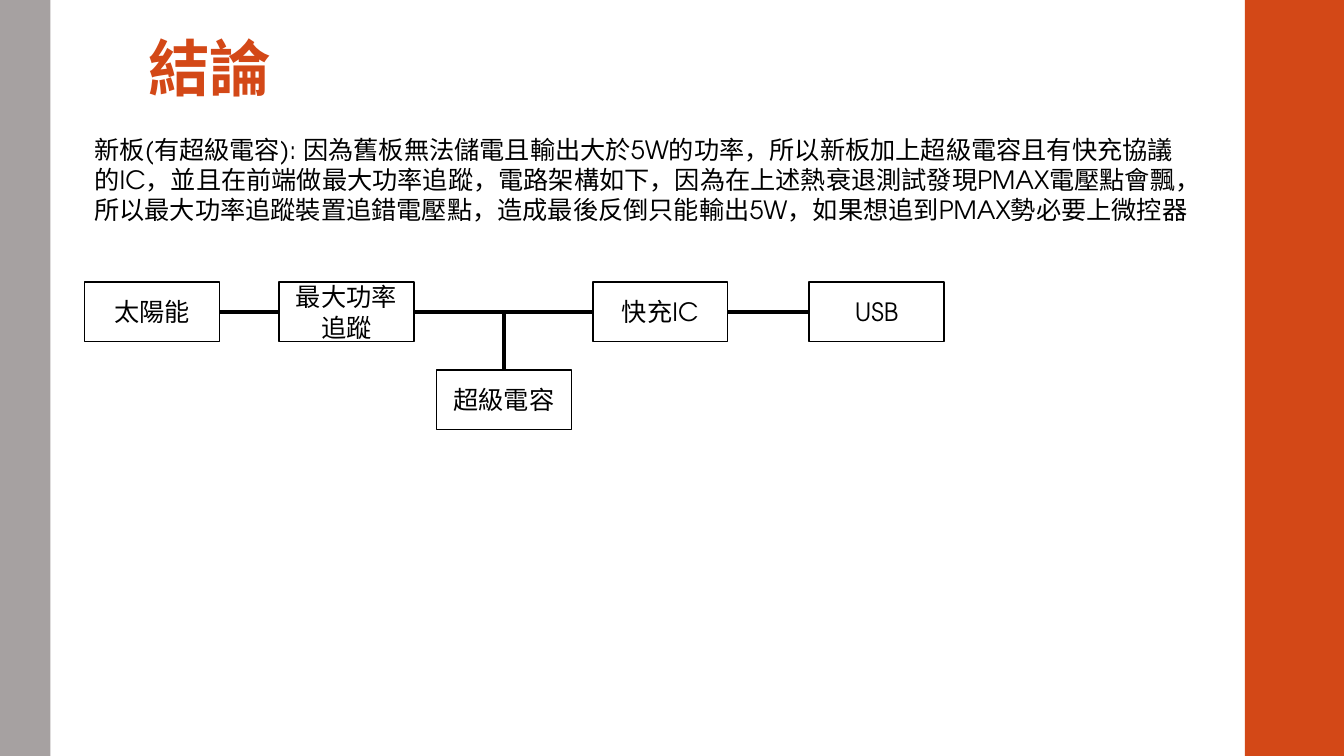
from dataclasses import dataclass

from lxml import etree
from pptx import Presentation
from pptx.dml.color import RGBColor
from pptx.enum.shapes import MSO_CONNECTOR, MSO_SHAPE
from pptx.enum.text import MSO_ANCHOR, MSO_AUTO_SIZE, PP_ALIGN
from pptx.oxml.ns import qn
from pptx.util import Cm, Pt

RECTANGLE = MSO_SHAPE.RECTANGLE
STRAIGHT = MSO_CONNECTOR.STRAIGHT
MIDDLE, BOTTOM = MSO_ANCHOR.MIDDLE, MSO_ANCHOR.BOTTOM
LEFT, CENTER = PP_ALIGN.LEFT, PP_ALIGN.CENTER
NO_AUTOFIT = MSO_AUTO_SIZE.NONE

COLORS = {"accent": "D34817", "side": "A6A1A1", "ink": "000000"}
FONT = "TeX Gyre Adventor"
PAGE_WIDTH, PAGE_HEIGHT = 33.87, 19.05
BOX_WIDTH, BOX_HEIGHT = 3.4, 1.5
CHAIN_TOP, STORAGE_TOP = 7.11, 9.32
CHAIN_MIDDLE = CHAIN_TOP + BOX_HEIGHT / 2

CONCLUSION = (
    "新板(有超級電容): 因為舊板無法儲電且輸出大於5W的功率，所以新板加上超級電容且有快充協議的IC，"
    "並且在前端做最大功率追蹤，電路架構如下，因為在上述熱衰退測試發現PMAX電壓點會飄，"
    "所以最大功率追蹤裝置追錯電壓點，造成最後反倒只能輸出5W，如果想追到PMAX勢必要上微控器"
)


@dataclass(frozen=True)
class Bar:
    left: float
    width: float
    color: str


@dataclass(frozen=True)
class Block:
    label: str
    left: float
    top: float = CHAIN_TOP

    @property
    def right(self) -> float:
        return self.left + BOX_WIDTH

    @property
    def center(self) -> float:
        return self.left + BOX_WIDTH / 2


BARS = [Bar(31.37, PAGE_WIDTH - 31.37, "accent"), Bar(0, 1.27, "side")]
CHAIN = [
    Block("太陽能", 2.13),
    Block("最大功率追蹤", 7.03),
    Block("快充IC", 14.94),
    Block("USB", 20.39),
]
STORAGE = Block("超級電容", 11.0, STORAGE_TOP)


def color(name: str) -> RGBColor:
    return RGBColor.from_string(COLORS[name])


def write(frame, text: str, size: float, ink: str = "ink", align=LEFT, bold: bool = False):
    frame.word_wrap = True
    para = frame.paragraphs[0]
    para.text = text
    para.alignment = align
    para.font.name = FONT
    para.font.size = Pt(size)
    para.font.bold = bold
    para.font.color.rgb = color(ink)
    return para


def draw_bar(page, bar: Bar) -> None:
    shape = page.shapes.add_shape(RECTANGLE, Cm(bar.left), 0, Cm(bar.width), Cm(PAGE_HEIGHT))
    shape.shadow.inherit = False
    shape.fill.solid()
    shape.fill.fore_color.rgb = color(bar.color)
    shape.line.fill.background()


def draw_block(page, block: Block) -> None:
    shape = page.shapes.add_shape(
        RECTANGLE, Cm(block.left), Cm(block.top), Cm(BOX_WIDTH), Cm(BOX_HEIGHT)
    )
    shape.shadow.inherit = False
    shape.fill.background()
    shape.line.color.rgb = color("ink")
    shape.line.width = Pt(1.1)
    shape.text_frame.vertical_anchor = MIDDLE
    write(shape.text_frame, block.label, 18, align=CENTER)


def draw_wire(page, x1: float, y1: float, x2: float, y2: float) -> None:
    wire = page.shapes.add_connector(STRAIGHT, Cm(x1), Cm(y1), Cm(x2), Cm(y2))
    wire.line.color.rgb = color("ink")
    wire.line.width = Pt(3)
    etree.SubElement(wire._element.spPr, qn("a:effectLst"))


def draw_title(page) -> None:
    title = page.shapes.title
    title.left, title.top, title.width, title.height = Cm(3.48), Cm(0.1), Cm(26.92), Cm(2.67)
    frame = title.text_frame
    frame.auto_size = NO_AUTOFIT
    frame.vertical_anchor = BOTTOM
    frame.margin_top, frame.margin_bottom = Cm(0.08), Cm(0.13)
    para = write(frame, "結論", 44, "accent", bold=True)
    para.line_spacing = 0.9
    para._p.pPr.find(qn("a:defRPr")).set("spc", "-50")


def main() -> None:
    deck = Presentation()
    deck.slide_width, deck.slide_height = Cm(PAGE_WIDTH), Cm(PAGE_HEIGHT)
    page = deck.slides.add_slide(deck.slide_layouts.get_by_name("Title Only"))

    # Side bars
    for bar in BARS:
        draw_bar(page, bar)

    # Title and conclusion
    draw_title(page)
    conclusion = page.shapes.add_textbox(Cm(2.13), Cm(3.25), Cm(28.24), Cm(4.11))
    write(conclusion.text_frame, CONCLUSION, 18)

    # Circuit blocks
    for block in [*CHAIN, STORAGE]:
        draw_block(page, block)

    # Wires along the chain and down to the storage
    for start, end in zip(CHAIN, CHAIN[1:]):
        draw_wire(page, start.right, CHAIN_MIDDLE, end.left, CHAIN_MIDDLE)
    draw_wire(page, STORAGE.center, CHAIN_MIDDLE, STORAGE.center, STORAGE.top)

    deck.save("out.pptx")


if __name__ == "__main__":
    main()
